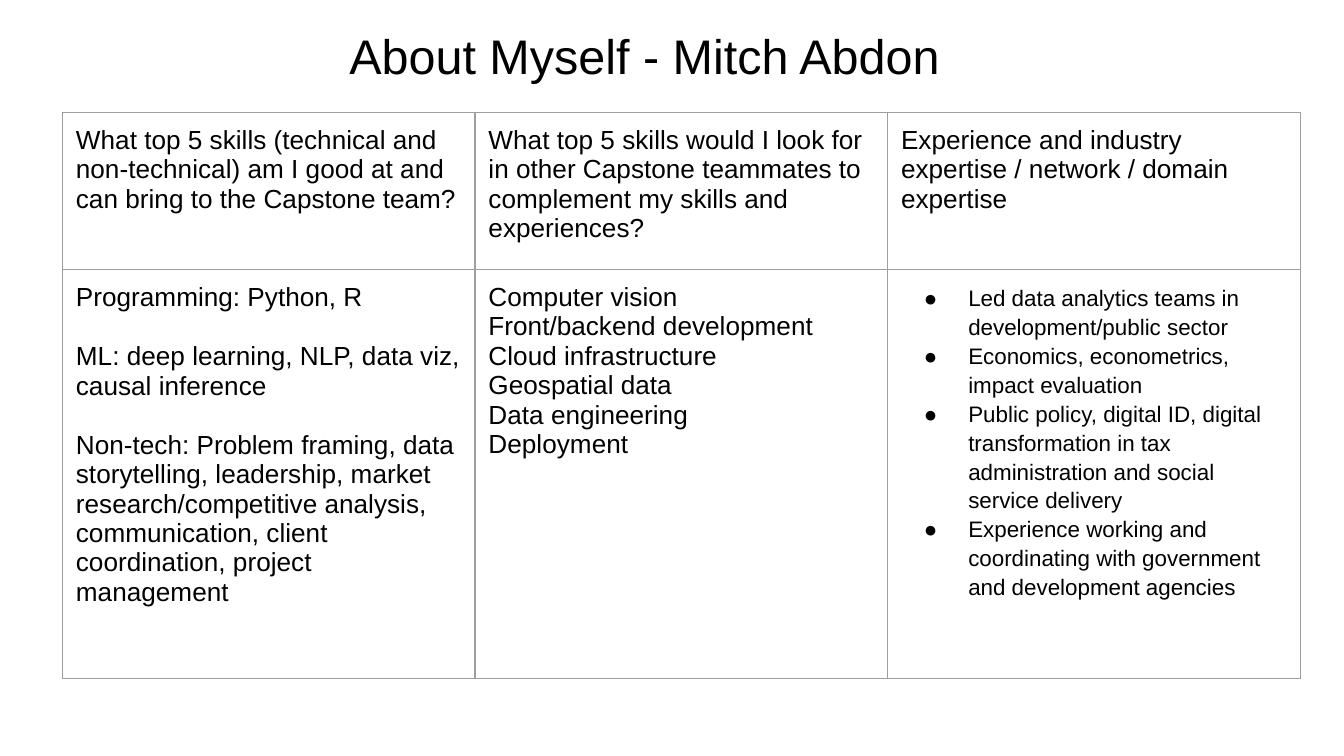
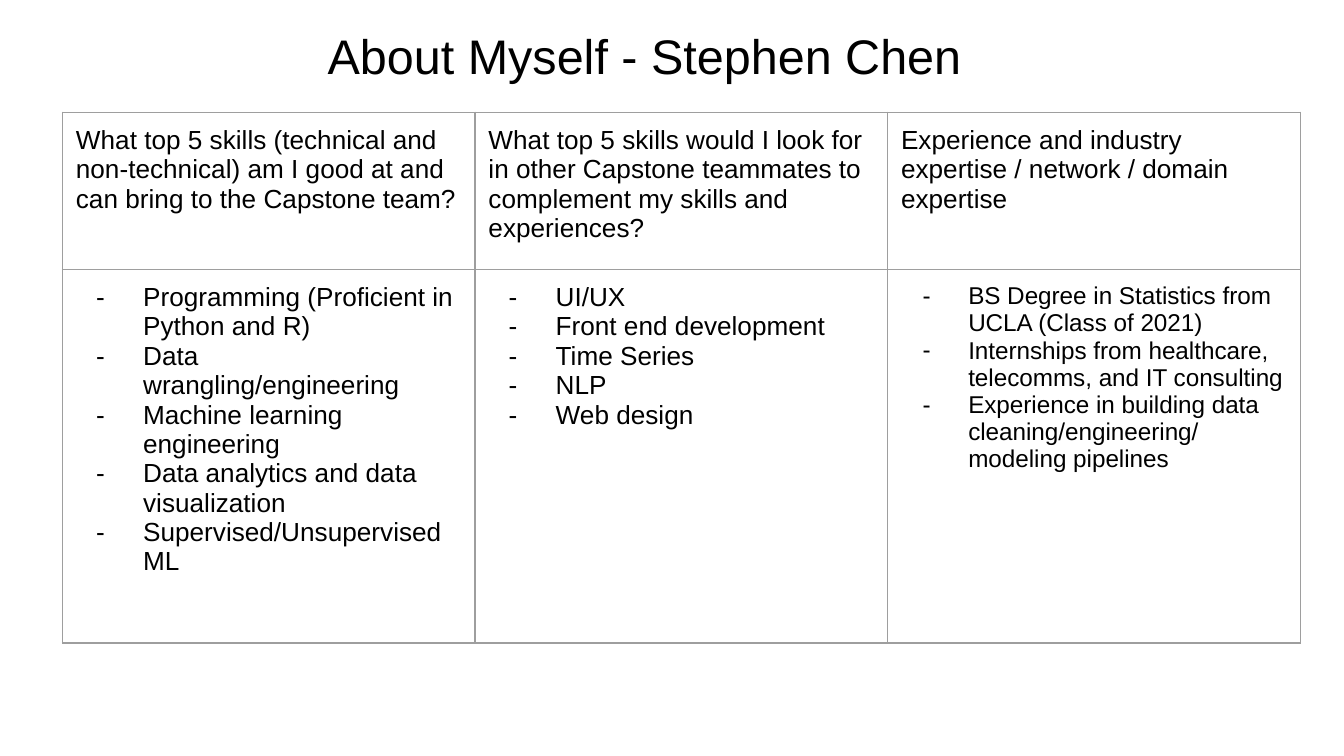
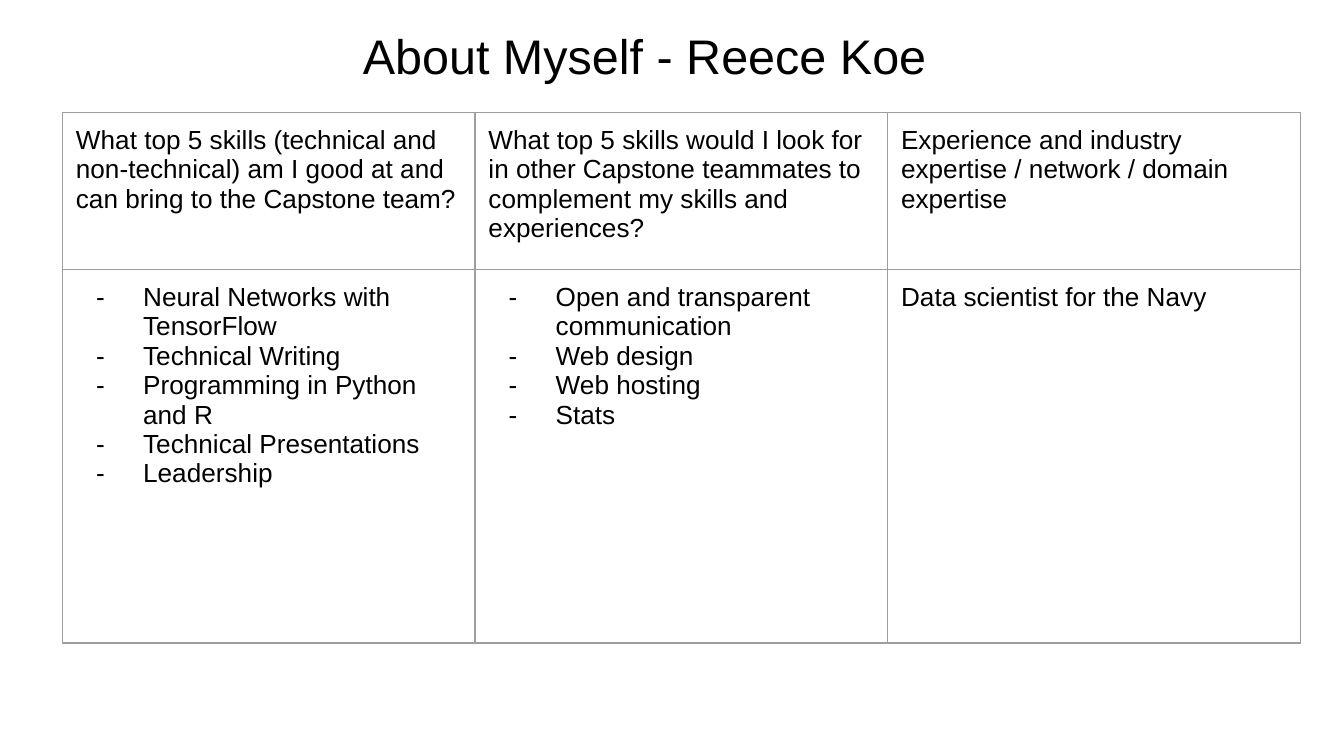
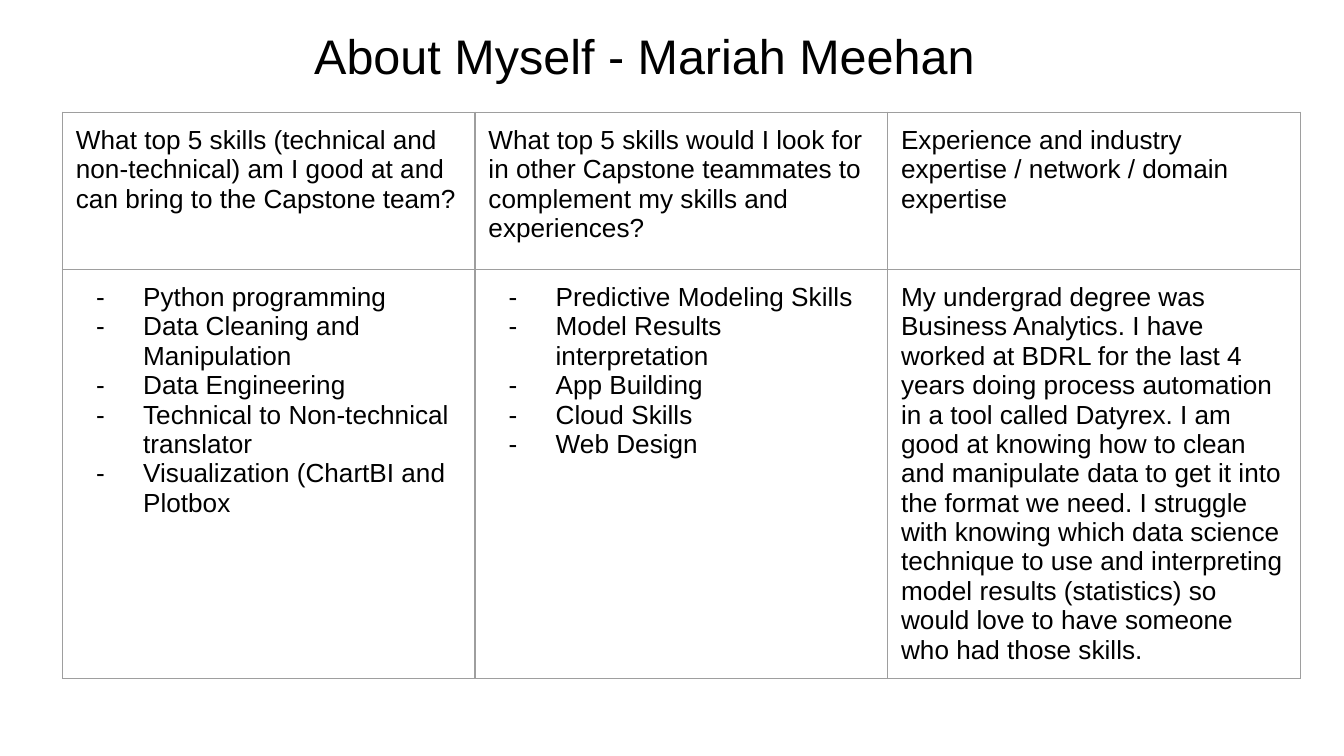
from lxml.etree import SubElement
from pptx import Presentation
from pptx.dml.color import RGBColor
from pptx.enum.text import MSO_AUTO_SIZE as AutoSize, MSO_ANCHOR as Anchor, PP_ALIGN as Align
from pptx.oxml.ns import qn
from pptx.util import Pt

EMU_PER_PX = 4572  # 200 px to the inch
COLORS = {"text": "000000", "border": "9E9E9E"}
FONT = "Arial"
INSET = 20
TITLE_ONLY = 5

QUESTIONS = [
    "What top 5 skills (technical and non-technical) am I good at and can bring to the Capstone team?",
    "What top 5 skills would I look for in other Capstone teammates to complement my skills and experiences?",
    "Experience and industry expertise / network / domain expertise",
]
DASHED = {"bullet": "-"}

# Each answer is its paragraphs and their format.
PEOPLE = [
    ("Mitch Abdon", 609, [
        (["Programming: Python, R",
          "ML: deep learning, NLP, data viz, causal inference",
          "Non-tech: Problem framing, data storytelling, leadership, market research/competitive analysis, "
          "communication, client coordination, project management"], {"gap": 16}),
        (["Computer vision", "Front/backend development", "Cloud infrastructure",
          "Geospatial data", "Data engineering", "Deployment"], {}),
        (["Led data analytics teams in development/public sector",
          "Economics, econometrics, impact evaluation",
          "Public policy, digital ID, digital transformation in tax administration and social service delivery",
          "Experience working and coordinating with government and development agencies"],
         {"bullet": "●", "size": 12, "line_spacing": 1.15}),
    ]),
    ("Stephen Chen", 556, [
        (["Programming (Proficient in Python and R)", "Data wrangling/engineering",
          "Machine learning engineering", "Data analytics and data visualization",
          "Supervised/Unsupervised ML"], DASHED),
        (["UI/UX", "Front end development", "Time Series", "NLP", "Web design"], DASHED),
        (["BS Degree in Statistics from UCLA (Class of 2021)",
          "Internships from healthcare, telecomms, and IT consulting",
          "Experience in building data cleaning/engineering/ modeling pipelines"],
         {"bullet": "-", "size": 13}),
    ]),
    ("Reece Koe", 556, [
        (["Neural Networks with TensorFlow", "Technical Writing", "Programming in Python and R",
          "Technical Presentations", "Leadership"], DASHED),
        (["Open and transparent communication", "Web design", "Web hosting", "Stats"], DASHED),
        (["Data scientist for the Navy"], {}),
    ]),
    ("Mariah Meehan", 556, [
        (["Python programming", "Data Cleaning and Manipulation", "Data Engineering",
          "Technical to Non-technical translator", "Visualization (ChartBI and Plotbox"], DASHED),
        (["Predictive Modeling Skills", "Model Results interpretation", "App Building",
          "Cloud Skills", "Web Design"], DASHED),
        (["My undergrad degree was Business Analytics. I have worked at BDRL for the last 4 years doing "
          "process automation in a tool called Datyrex. I am good at knowing how to clean and manipulate "
          "data to get it into the format we need. I struggle with knowing which data science technique "
          "to use and interpreting model results (statistics) so would love to have someone who had "
          "those skills."], {}),
    ]),
]


def px(length):
    return length * EMU_PER_PX


def add_bullet(paragraph, mark, size):
    """Hang the mark before the text; the hang grows with the text size."""
    props = paragraph._p.get_or_add_pPr()
    props.set("marL", str(px(100)))
    props.set("indent", str(-px(42 + 2 * size)))
    color = SubElement(props, qn("a:buClr"))
    SubElement(color, qn("a:srgbClr"), val=COLORS["text"])
    SubElement(props, qn("a:buFont"), typeface=FONT)
    SubElement(props, qn("a:buChar"), char=mark)


def write(frame, lines, size=14, align=Align.LEFT, bullet=None, line_spacing=None, gap=0):
    """Fill a text frame with one paragraph a line; gap is the points between them."""
    for index, line in enumerate(lines):
        paragraph = frame.add_paragraph() if index else frame.paragraphs[0]
        if bullet:
            add_bullet(paragraph, bullet, size)
        paragraph.alignment = align
        paragraph.space_before = Pt(gap if index else 0)
        if line_spacing:
            paragraph.line_spacing = line_spacing
        run = paragraph.add_run()
        run.text = line
        run.font.size = Pt(size)
        run.font.name = FONT
        run.font.color.rgb = RGBColor.from_string(COLORS["text"])


def set_insets(holder):
    holder.margin_left = holder.margin_right = px(INSET)
    holder.margin_top = holder.margin_bottom = px(INSET)
    holder.vertical_anchor = Anchor.TOP


def add_borders(cell):
    props = cell._tc.get_or_add_tcPr()
    for side in ("lnL", "lnR", "lnT", "lnB"):
        line = SubElement(props, qn(f"a:{side}"), w=str(Pt(0.75)))
        fill = SubElement(line, qn("a:solidFill"))
        SubElement(fill, qn("a:srgbClr"), val=COLORS["border"])


class Deck:
    def __init__(self):
        self.presentation = Presentation()
        self.presentation.slide_width = px(2000)
        self.presentation.slide_height = px(1125)
        self.slide = None

    def new_slide(self):
        layout = self.presentation.slide_layouts[TITLE_ONLY]
        self.slide = self.presentation.slides.add_slide(layout)

    def title(self, text):
        heading = self.slide.shapes.title
        heading.left, heading.top = px(158), px(18)
        heading.width, heading.height = px(1604), px(124)
        frame = heading.text_frame
        frame.word_wrap = True
        frame.auto_size = AutoSize.NONE
        set_insets(frame)
        write(frame, [text], size=26, align=Align.CENTER)

    def skills_table(self, answers, answer_height, column_width=614):
        row_heights = [234, answer_height]
        rows = [[([question], {}) for question in QUESTIONS], answers]
        table = self.slide.shapes.add_table(
            len(rows), len(QUESTIONS), px(93), px(167),
            px(column_width * len(QUESTIONS)), px(sum(row_heights))).table
        table.first_row = table.horz_banding = False
        for column in table.columns:
            column.width = px(column_width)
        for row, height, contents in zip(table.rows, row_heights, rows):
            row.height = px(height)
            for cell, (lines, style) in zip(row.cells, contents):
                set_insets(cell)
                add_borders(cell)
                cell.fill.background()
                write(cell.text_frame, lines, **style)


def main():
    deck = Deck()
    for person, answer_height, answers in PEOPLE:
        deck.new_slide()
        deck.title(f"About Myself - {person}")
        deck.skills_table(answers, answer_height)
    deck.presentation.save("out.pptx")


if __name__ == "__main__":
    main()
